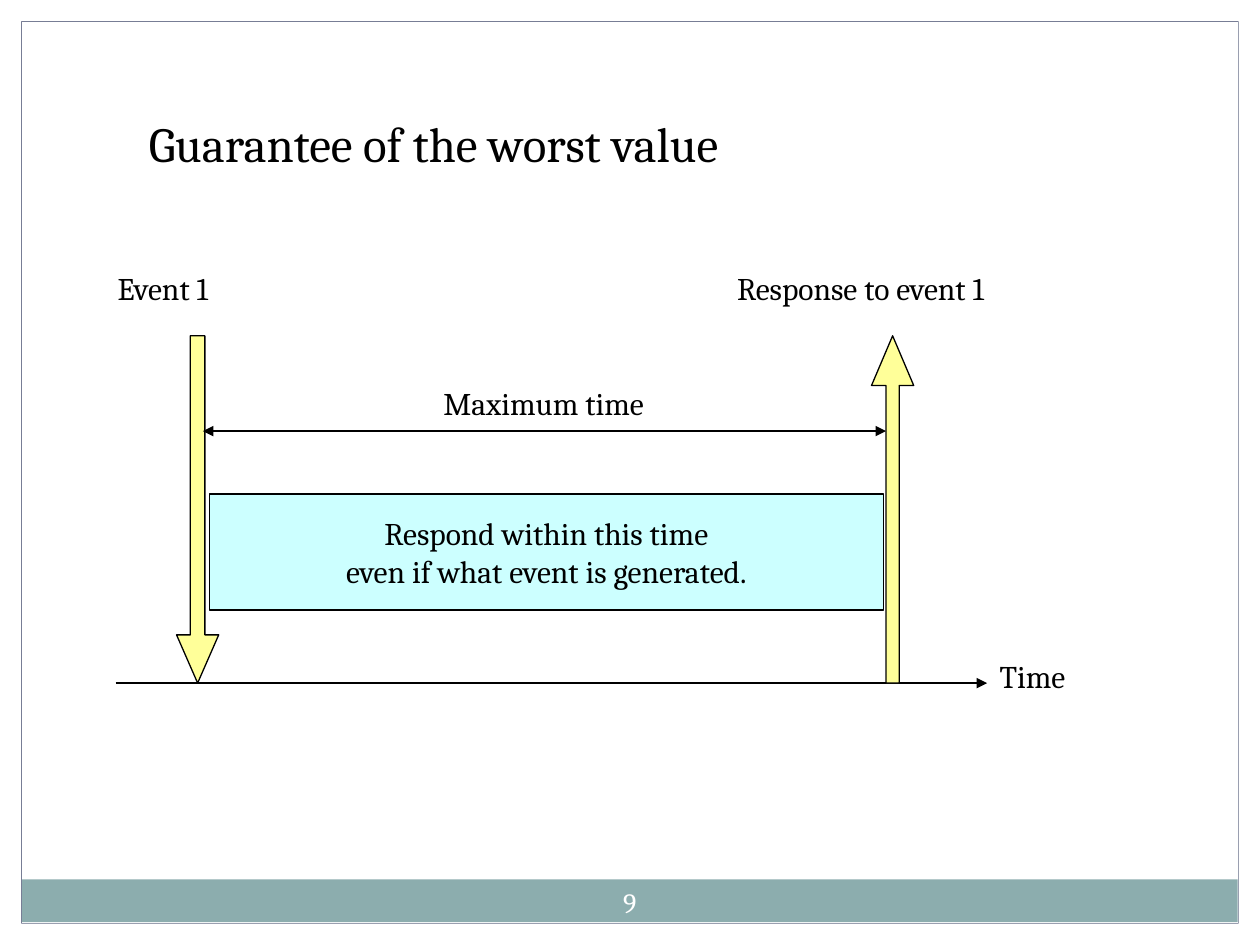
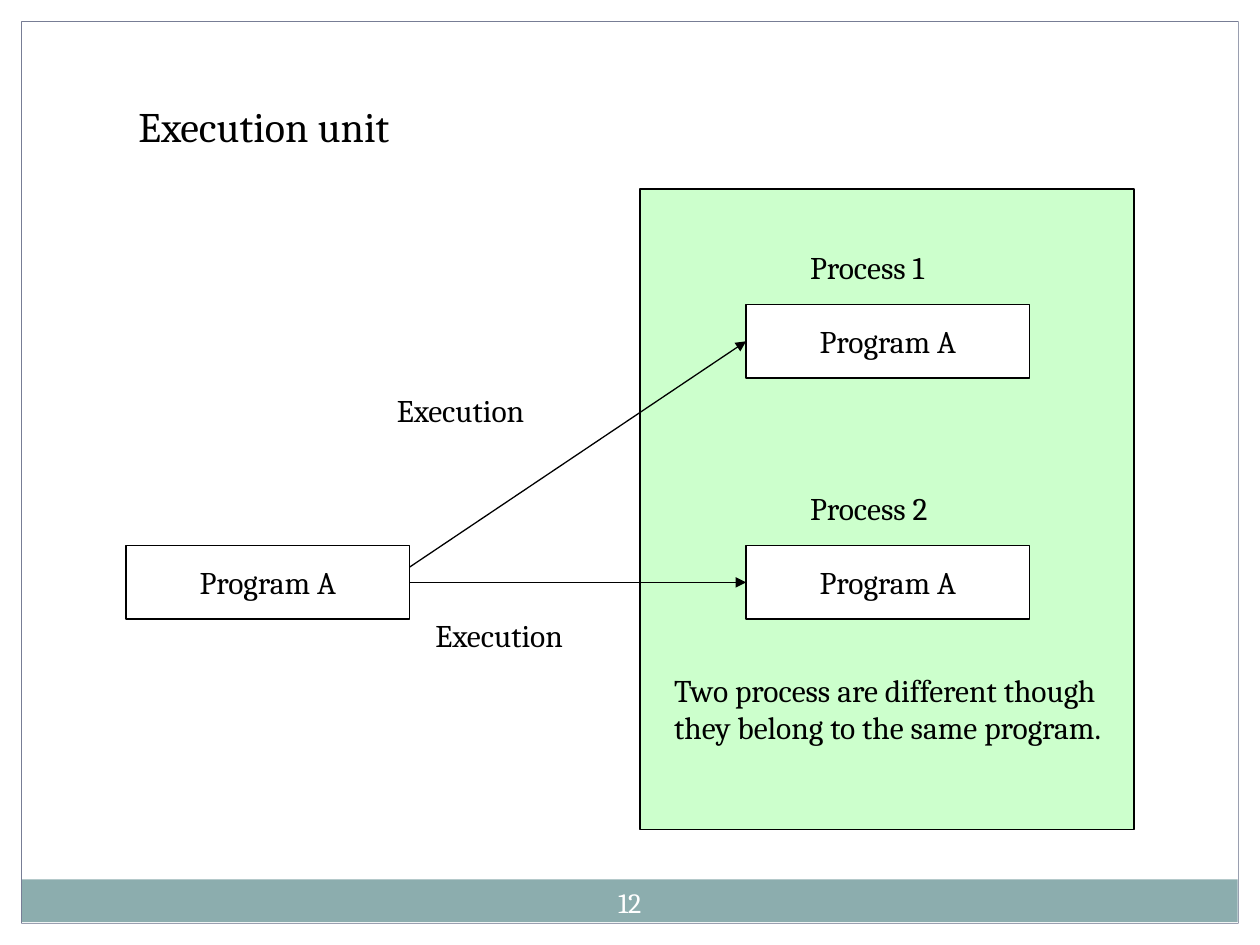
from lxml.etree import SubElement
from pptx import Presentation
from pptx.dml.color import RGBColor
from pptx.enum.shapes import MSO_CONNECTOR, MSO_SHAPE as SHAPE
from pptx.enum.text import MSO_ANCHOR as ANCHOR, MSO_AUTO_SIZE, PP_ALIGN as ALIGN
from pptx.oxml.ns import qn
from pptx.util import Cm, Pt

BLACK = RGBColor(0x00, 0x00, 0x00)
WHITE = RGBColor(0xFF, 0xFF, 0xFF)
TEAL = RGBColor(0x8C, 0xAD, 0xAE)
SLATE = RGBColor(0x64, 0x6B, 0x86)
CYAN = RGBColor(0xCC, 0xFF, 0xFF)
YELLOW = RGBColor(0xFF, 0xFF, 0x99)
GREEN = RGBColor(0xCC, 0xFF, 0xCC)
FONT = "Cambria"

SLIDE_W, SLIDE_H, MARGIN = 25.4, 19.05, 0.43
FOOTER_BAND = (0.41, 17.73, 24.54, 0.86)
FRAME = (MARGIN, MARGIN, SLIDE_W - 2 * MARGIN, SLIDE_H - 2 * MARGIN)
MARGINS = [
    (0, SLIDE_H - MARGIN, SLIDE_W, MARGIN),
    (0, 0, SLIDE_W, MARGIN),
    (0, 0, MARGIN, SLIDE_H),
    (SLIDE_W - MARGIN, 0, MARGIN, SLIDE_H),
]
PAGE_NUMBER = (11.85, 17.58, 1.69, 1.22)
LABEL_H = 1.02

WORST_VALUE = {
    "title": ("Guarantee of the worst value", (2.75, 2.16, 13.72, 2.64), 28),
    "page": "9",
    "response": ("Respond within this time\neven if what event is generated.",
                 (4.22, 9.96, 13.59, 2.34)),
    "time_axis": ((2.33, 13.77), (19.9, 13.77)),
    "interval": ((4.09, 8.69), (17.86, 8.69)),
    "events": [
        (SHAPE.DOWN_ARROW, 3.56, (0.344, 1.142)),
        (SHAPE.UP_ARROW, 17.57, (0.312, 1.178)),
    ],
    "labels": [
        ("Time", 19.9, 13.12, 2.33),
        ("Event 1", 2.12, 5.29, 4.87),
        ("Response to event 1", 14.61, 5.29, 8.04),
        ("Maximum time", 8.69, 7.62, 5.99),
    ],
}
EVENT_TOP, EVENT_W, EVENT_H = 6.77, 0.85, 7.0

EXECUTION_UNIT = {
    "title": ("Execution unit", (2.54, 1.9, 12.7, 1.27), 24),
    "page": "12",
    "panel": (12.9, 3.81, 9.96, 12.91),
    "program": "Program A",
    "source": (2.54, 11.0),
    "processes": [("Process 1", 6.14), ("Process 2", 11.0)],
    "labels": [
        ("Execution", 7.75, 7.75, 4.17),
        ("Execution", 8.53, 12.29, 4.37),
        ("Two process are different though they belong to the same program.",
         13.34, 13.39, 9.52),
    ],
}
PROCESS_X, PROGRAM_W, PROGRAM_H = 15.04, 5.72, 1.48
PROCESS_LABEL_X, PROCESS_LABEL_RISE, PROCESS_LABEL_W = 16.08, 1.27, 4.88
FIRST_EXECUTION_Y = 11.43


def write(frame, text, size=18, color=BLACK, align=ALIGN.LEFT,
          anchor=ANCHOR.TOP, wrap=True, inset=0.25):
    frame.text = text
    frame.auto_size = MSO_AUTO_SIZE.NONE
    frame.word_wrap = wrap
    frame.vertical_anchor = anchor
    frame.margin_left = frame.margin_right = Cm(inset)
    frame.margin_top = frame.margin_bottom = Cm(0.13)
    for paragraph in frame.paragraphs:
        paragraph.alignment = align
        paragraph.font.name = FONT
        paragraph.font.size = Pt(size)
        paragraph.font.color.rgb = color


def add_label(slide, text, box, **style):
    label = slide.shapes.add_textbox(*map(Cm, box))
    write(label.text_frame, text, **style)


def add_block(slide, box, fill=None, line=None, kind=SHAPE.RECTANGLE, text=None):
    block = slide.shapes.add_shape(kind, *map(Cm, box))
    block.shadow.inherit = False
    if fill is None:
        block.fill.background()
    else:
        block.fill.solid()
        block.fill.fore_color.rgb = fill
    if line is None:
        block.line.fill.background()
    else:
        block.line.color.rgb = line
        block.line.width = Pt(0.75)
    if text:
        write(block.text_frame, text, align=ALIGN.CENTER,
              anchor=ANCHOR.MIDDLE, wrap=False)
    return block


def add_arrow(slide, start, end, heads=("tailEnd",)):
    arrow = slide.shapes.add_connector(
        MSO_CONNECTOR.STRAIGHT, *map(Cm, (*start, *end)))
    arrow.line.color.rgb = BLACK
    arrow.line.width = Pt(0.75)
    properties = arrow._element.spPr
    for head in heads:
        SubElement(properties.find(qn("a:ln")), qn(f"a:{head}"), type="triangle")
    SubElement(properties, qn("a:effectLst"))
    return arrow


def add_slide(deck, content):
    slide = deck.slides.add_slide(deck.slide_layouts[5])
    add_block(slide, FOOTER_BAND, fill=TEAL)
    add_block(slide, FRAME, line=SLATE)
    for margin in MARGINS:
        add_block(slide, margin, fill=WHITE)
    text, box, size = content["title"]
    title = slide.shapes.title
    title.left, title.top, title.width, title.height = map(Cm, box)
    write(title.text_frame, text, size=size)
    add_label(slide, content["page"], PAGE_NUMBER, size=16, color=WHITE,
              align=ALIGN.CENTER, anchor=ANCHOR.MIDDLE, inset=0.13)
    return slide


def add_labels(slide, labels):
    for text, left, top, width in labels:
        add_label(slide, text, (left, top, width, LABEL_H * (2 if len(text) > 40 else 1)))


def build_worst_value(deck):
    content = WORST_VALUE
    slide = add_slide(deck, content)
    text, box = content["response"]
    add_block(slide, box, fill=CYAN, line=BLACK, text=text)
    add_arrow(slide, *content["time_axis"])
    for kind, left, adjustments in content["events"]:
        event = add_block(slide, (left, EVENT_TOP, EVENT_W, EVENT_H),
                          fill=YELLOW, line=BLACK, kind=kind)
        for index, value in enumerate(adjustments):
            event.adjustments[index] = value
    add_arrow(slide, *content["interval"], heads=("headEnd", "tailEnd"))
    add_labels(slide, content["labels"])


def build_execution_unit(deck):
    content = EXECUTION_UNIT
    slide = add_slide(deck, content)
    add_block(slide, content["panel"], fill=GREEN, line=BLACK)

    def add_program(left, top):
        return add_block(slide, (left, top, PROGRAM_W, PROGRAM_H),
                         fill=WHITE, line=BLACK, text=content["program"])

    source_x, source_y = content["source"]
    source = add_program(source_x, source_y)
    for name, top in content["processes"]:
        process = add_program(PROCESS_X, top)
        execution = add_arrow(slide, (source_x + PROGRAM_W, FIRST_EXECUTION_Y),
                              (PROCESS_X, top + PROGRAM_H / 2))
        execution.end_connect(process, 1)
        if top == source_y:
            execution.begin_connect(source, 3)
        add_label(slide, name, (PROCESS_LABEL_X, top - PROCESS_LABEL_RISE,
                                PROCESS_LABEL_W, LABEL_H))
    add_labels(slide, content["labels"])


def main():
    deck = Presentation()
    deck.slide_width, deck.slide_height = Cm(SLIDE_W), Cm(SLIDE_H)
    build_worst_value(deck)
    build_execution_unit(deck)
    deck.save("out.pptx")


if __name__ == "__main__":
    main()
